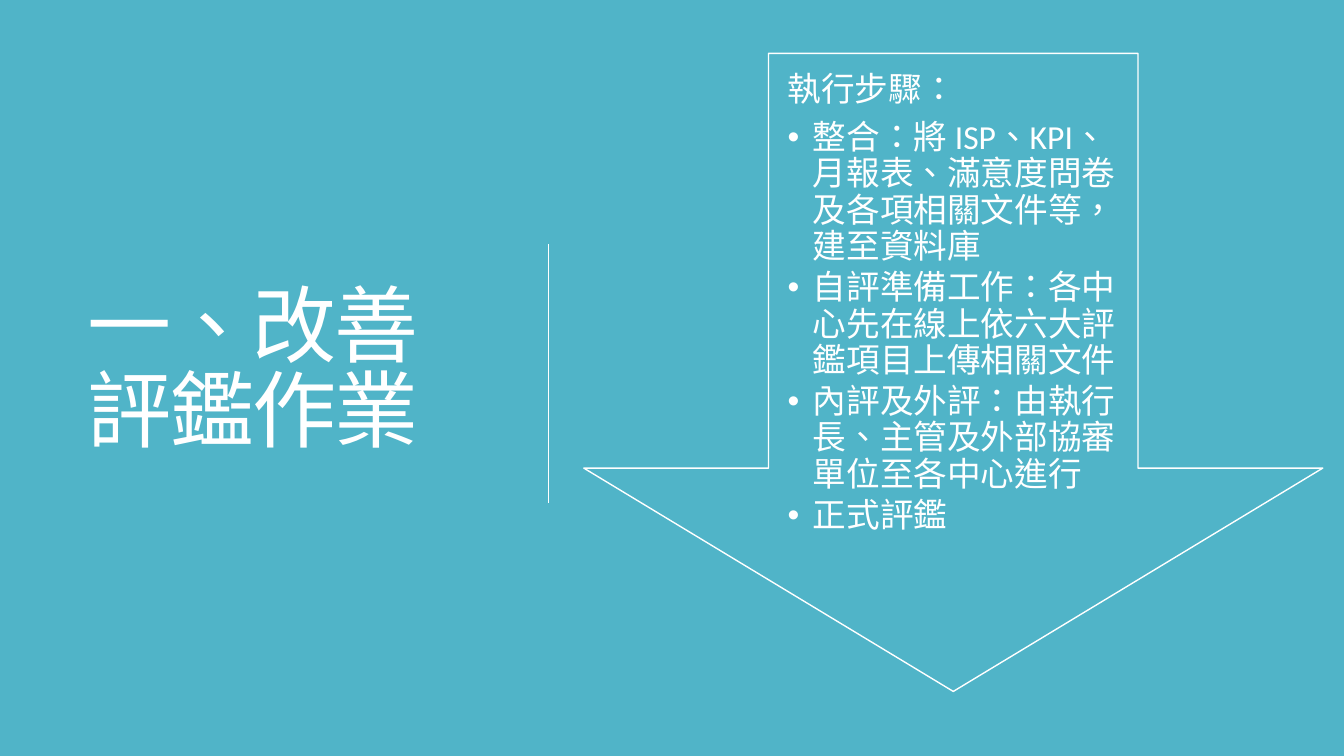
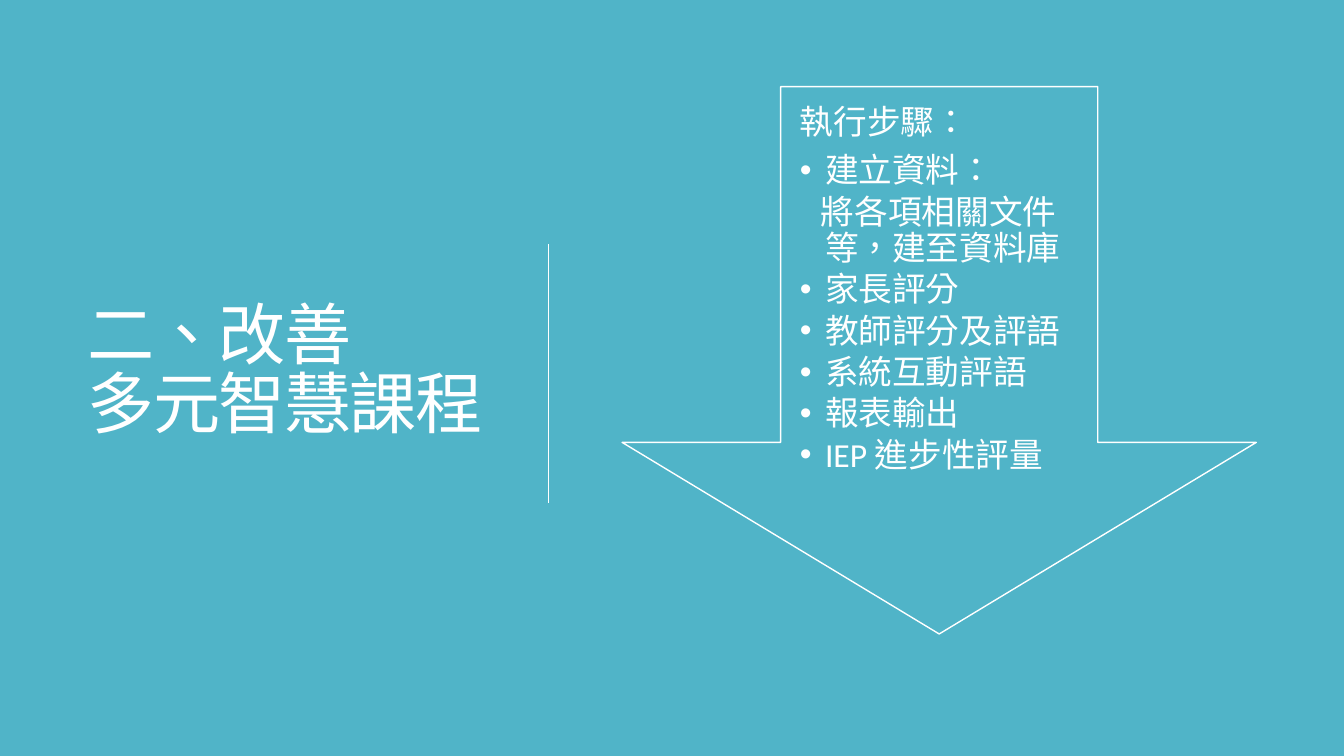
from lxml import etree
from pptx import Presentation
from pptx import util as u
from pptx.dml.color import RGBColor
from pptx.enum import shapes, text
from pptx.oxml.ns import qn

COLOR = {"teal": "50B4C8", "white": "FFFFFF"}
FONT = "Calibri"
WIDE, HIGH = 13.33, 7.5
TITLE = (0.77, 0.7, 4.32, 6.01)
RULE = (5.44, 2.42, 4.99)  # x, top, bottom
HANG, PAD = 0.25, 0.19

# Steps marked "•" carry a bullet; "-" continues the step above.
SLIDES = [
    {
        "title": "一、改善\n評鑑作業", "size": 60,
        "arrow": (5.79, 0.53, 7.33, 6.33),
        "head": "執行步驟：",
        "steps": [
            ("•", "整合：將 ISP、KPI、月報表、滿意度問卷及各項相關文件等，建至資料庫"),
            ("•", "自評準備工作：各中心先在線上依六大評鑑項目上傳相關文件"),
            ("•", "內評及外評：由執行長、主管及外部協審單位至各中心進行"),
            ("•", "正式評鑑"),
        ],
    },
    {
        "title": "二、改善\n多元智慧課程", "size": 48,
        "arrow": (6.17, 0.86, 6.29, 5.43),
        "head": "執行步驟：",
        "steps": [
            ("•", "建立資料："),
            ("-", "將各項相關文件等，建至資料庫"),
            ("•", "家長評分"),
            ("•", "教師評分及評語"),
            ("•", "系統互動評語"),
            ("•", "報表輸出"),
            ("•", "IEP 進步性評量"),
        ],
    },
]


def rgb(name):
    return RGBColor.from_string(COLOR[name])


def inches(*vals):
    return [u.Inches(v) for v in vals]


def write(para, words, size=24, line=0.9, after=0, track=0, left=0, first=0, mark=None):
    """Fill a paragraph; left and first are indents in inches, track is in points."""
    para.text = words
    para.alignment = text.PP_ALIGN.LEFT
    para.line_spacing = line
    para.space_before, para.space_after = u.Pt(0), u.Pt(after)
    props = para._p.get_or_add_pPr()
    props.set("marL", str(u.Inches(left)))
    props.set("indent", str(u.Inches(first)))
    if mark:
        etree.SubElement(props, qn("a:buFont"), typeface="Arial")
        etree.SubElement(props, qn("a:buChar"), char=mark)
    else:
        etree.SubElement(props, qn("a:buNone"))
    for run in para.runs:
        run.font.name, run.font.size = FONT, u.Pt(size)
        run.font.color.rgb = rgb("white")
        look = run._r.get_or_add_rPr()
        look.set("lang", "zh-TW")
        if track:
            look.set("spc", str(round(track * 100)))


def add_title(slide, words, size):
    box = slide.shapes.title
    box.left, box.top, box.width, box.height = inches(*TITLE)
    frame = box.text_frame
    frame.word_wrap = True
    frame.auto_size = text.MSO_AUTO_SIZE.NONE
    frame.vertical_anchor = text.MSO_ANCHOR.MIDDLE
    write(frame.paragraphs[0], words, size=size, line=0.85, track=-1.2)


def add_rule(slide):
    x, top, end = RULE
    rule = slide.shapes.add_connector(
        shapes.MSO_CONNECTOR.STRAIGHT, *inches(x, top, x, end))
    rule.line.color.rgb = rgb("white")
    rule.line.width = u.Pt(0.75)
    etree.SubElement(rule._element.spPr, qn("a:effectLst"))


def add_arrow(slide, place, head, steps):
    arrow = slide.shapes.add_shape(shapes.MSO_SHAPE.DOWN_ARROW, *inches(*place))
    arrow.adjustments[0], arrow.adjustments[1] = 0.5, 0.35
    arrow.shadow.inherit = False
    arrow.fill.solid()
    arrow.fill.fore_color.rgb = rgb("teal")
    arrow.line.color.rgb = rgb("white")
    arrow.line.width = u.Pt(1)
    frame = arrow.text_frame
    frame.word_wrap = True
    frame.vertical_anchor = text.MSO_ANCHOR.TOP
    frame.margin_left = frame.margin_right = u.Inches(PAD)
    frame.margin_top = frame.margin_bottom = u.Inches(PAD)
    write(frame.paragraphs[0], head, after=8.4)
    for kind, words in steps:
        dot = kind == "•"
        write(frame.add_paragraph(), words, after=3.6, left=HANG,
              first=-HANG if dot else -0.04, mark=kind if dot else None)


def main():
    prs = Presentation()
    prs.slide_width, prs.slide_height = inches(WIDE, HIGH)
    back = prs.slide_master.background.fill
    back.solid()
    back.fore_color.rgb = rgb("teal")
    for page in SLIDES:
        slide = prs.slides.add_slide(prs.slide_layouts.get_by_name("Title Only"))
        add_title(slide, page["title"], page["size"])
        add_rule(slide)
        add_arrow(slide, page["arrow"], page["head"], page["steps"])
    prs.save("out.pptx")


if __name__ == "__main__":
    main()
